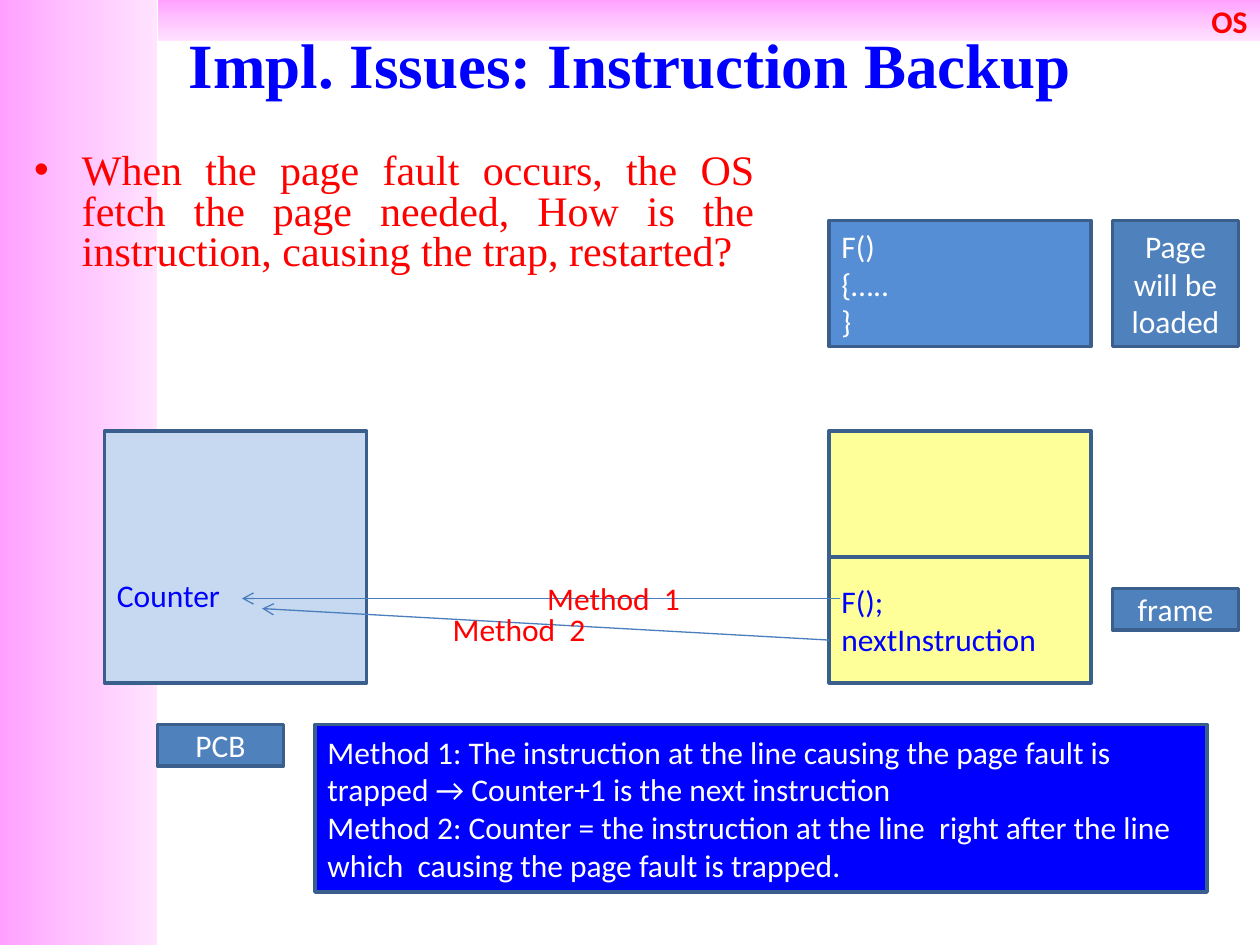
from copy import deepcopy

from lxml import etree
from pptx import Presentation
from pptx import util as u
from pptx.dml.color import RGBColor
from pptx.enum import shapes, text
from pptx.oxml import ns

BLUE = RGBColor(0x00, 0x00, 0xFF)
RED = RGBColor(0xFF, 0x00, 0x00)
WHITE = RGBColor(0xFF, 0xFF, 0xFF)
YELLOW = RGBColor(0xFF, 0xFF, 0x99)
SKY = RGBColor(0x55, 0x8E, 0xD5)
STEEL = RGBColor(0x4F, 0x81, 0xBD)
PALE = RGBColor(0xC6, 0xD9, 0xF1)
OUTLINE = RGBColor(0x3A, 0x5F, 0x8C)
ARROW = RGBColor(0x4B, 0x7E, 0xBC)
PINKS = [RGBColor(0xFF, 0xA0, 0xFF), RGBColor(0xFF, 0xC5, 0xFF), RGBColor(0xFF, 0xE3, 0xFF)]

LEFT, CENTER, RIGHT = text.PP_ALIGN.LEFT, text.PP_ALIGN.CENTER, text.PP_ALIGN.RIGHT


class Deck:
    head_font = "Times New Roman"
    font = "Calibri"
    size = 18

    def __init__(self, prs):
        self.s = prs.slides.add_slide(prs.slide_layouts[1])

    def put_text(self, sp, lines, color, align=LEFT, font=None, size=None, bold=False,
                 anchor=text.MSO_ANCHOR.MIDDLE):
        tf = sp.text_frame
        tf.word_wrap = True
        tf.auto_size = text.MSO_AUTO_SIZE.NONE
        tf.vertical_anchor = anchor
        for i, line in enumerate(lines):
            p = tf.add_paragraph() if i else tf.paragraphs[0]
            p.alignment = align
            r = p.add_run()
            r.text = line
            r.font.name = font or self.font
            r.font.size = u.Pt(size or self.size)
            r.font.bold = bold
            r.font.color.rgb = color
        return tf

    def rect(self, box):
        sp = self.s.shapes.add_shape(shapes.MSO_SHAPE.RECTANGLE, *map(u.Inches, box))
        sp.shadow.inherit = False
        return sp

    def band(self, box, angle):
        sp = self.rect(box)
        sp.line.fill.background()
        sp.fill.gradient()
        sp.fill.gradient_angle = angle
        stops = next(sp.element.iter(ns.qn("a:gsLst")))
        stops.insert(1, deepcopy(stops[0]))
        for stop, pos, color in zip(sp.fill.gradient_stops, (0, 0.5, 1), PINKS):
            stop.position = pos
            stop.color.rgb = color
        return sp

    def box(self, box, fill, lines=(), color=WHITE, align=LEFT):
        sp = self.rect(box)
        sp.fill.solid()
        sp.fill.fore_color.rgb = fill
        sp.line.color.rgb = OUTLINE
        sp.line.width = u.Pt(2)
        self.put_text(sp, lines, color, align)
        return sp

    def label(self, box, line):
        sp = self.s.shapes.add_textbox(*map(u.Inches, box))
        self.put_text(sp, [line], RED, CENTER)

    def arrow(self, start, end):
        c = self.s.shapes.add_connector(shapes.MSO_CONNECTOR.STRAIGHT, *map(u.Inches, start + end))
        c.line.color.rgb = ARROW
        c.line.width = u.Pt(0.75)
        etree.SubElement(c.get_or_add_ln(), ns.qn("a:tailEnd"), type="arrow")
        etree.SubElement(c.element.spPr, ns.qn("a:effectLst"))

    def placeholder(self, sp, box, line, **style):
        sp.left, sp.top, sp.width, sp.height = map(u.Inches, box)
        sp.element.getparent().append(sp.element)
        return self.put_text(sp, [line], font=self.head_font, **style).paragraphs[0]


def main():
    prs = Presentation()
    prs.slide_width, prs.slide_height = u.Inches(10), u.Inches(7.5)
    d = Deck(prs)
    title, body = d.s.placeholders

    d.band((0, 0, 1.25, 7.5), 0)
    header = d.band((1.25, 0, 8.75, 0.33), 270)
    d.put_text(header, ["OS"], RED, RIGHT, bold=True)

    d.placeholder(title, (0, 0, 10, 1), "Impl. Issues: Instruction Backup",
                  color=BLUE, align=CENTER, size=36, bold=True)
    p = d.placeholder(body, (0.17, 1.17, 5.92, 1.08),
                      "When the page fault occurs, the OS fetch the page needed, "
                      "How is the instruction, causing the trap, restarted?",
                      color=RED, align=text.PP_ALIGN.JUSTIFY, size=24,
                      anchor=text.MSO_ANCHOR.TOP)
    p.line_spacing = 0.8
    p.space_before = u.Pt(0)
    pPr = p._p.get_or_add_pPr()
    pPr.set("marL", str(u.Inches(0.38)))
    pPr.set("indent", str(u.Inches(-0.38)))
    etree.SubElement(pPr, ns.qn("a:buChar"), char="•")

    code_x, tag_x, code_w = 6.58, 8.83, 2.08
    d.box((code_x, 3.42, code_w, 1), YELLOW)
    d.box((code_x, 4.42, code_w, 1), YELLOW, ["F();", "nextInstruction"], BLUE)
    d.box((code_x, 1.75, code_w, 1), SKY, ["F()", "{…..", "}"])
    d.box((tag_x, 1.75, 1, 1), STEEL, ["Page", "will be loaded"], align=CENTER)
    d.box((tag_x, 4.67, 1, 0.33), STEEL, ["frame"], align=CENTER)
    pcb = d.box((0.83, 3.42, code_w, 2), PALE, ["Counter"], BLUE)
    pcb.text_frame.margin_top = u.Inches(0.66)
    d.box((1.25, 5.75, 1, 0.33), STEEL, ["PCB"], align=CENTER)

    d.arrow((6.67, 4.75), (1.92, 4.75))
    d.arrow((code_x, 5.08), (2.08, 4.83))
    d.label((4.08, 4.58, 1.58, 0.33), "Method  1")
    d.label((3.33, 4.83, 1.58, 0.33), "Method  2")

    d.box((2.5, 5.75, 7.08, 1.33), BLUE, [
        "Method 1: The instruction at the line causing the page fault is trapped "
        "→ Counter+1 is the next instruction",
        "Method 2: Counter = the instruction at the line  right after the line "
        "which  causing the page fault is trapped.",
    ])
    prs.save("out.pptx")


if __name__ == "__main__":
    main()
